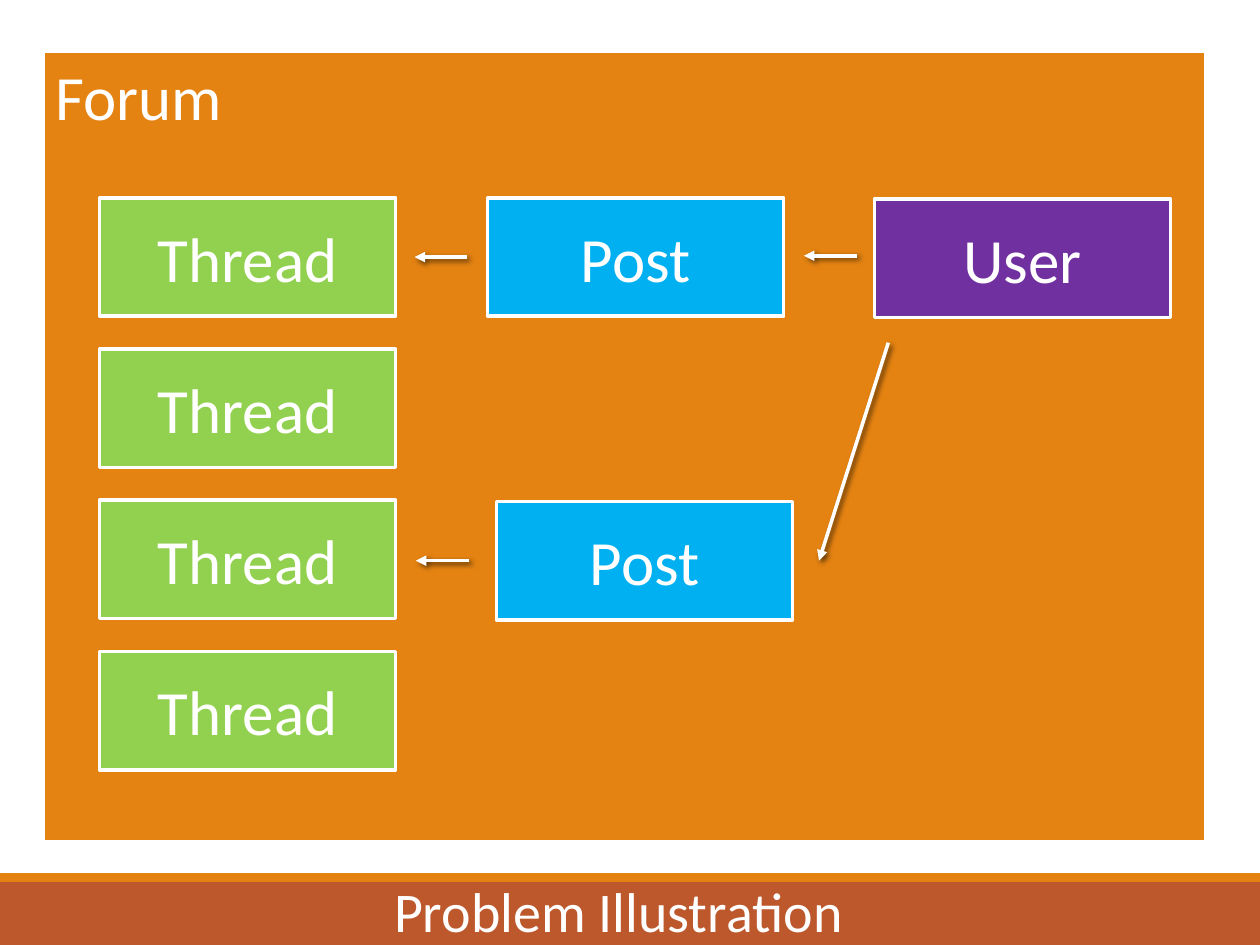
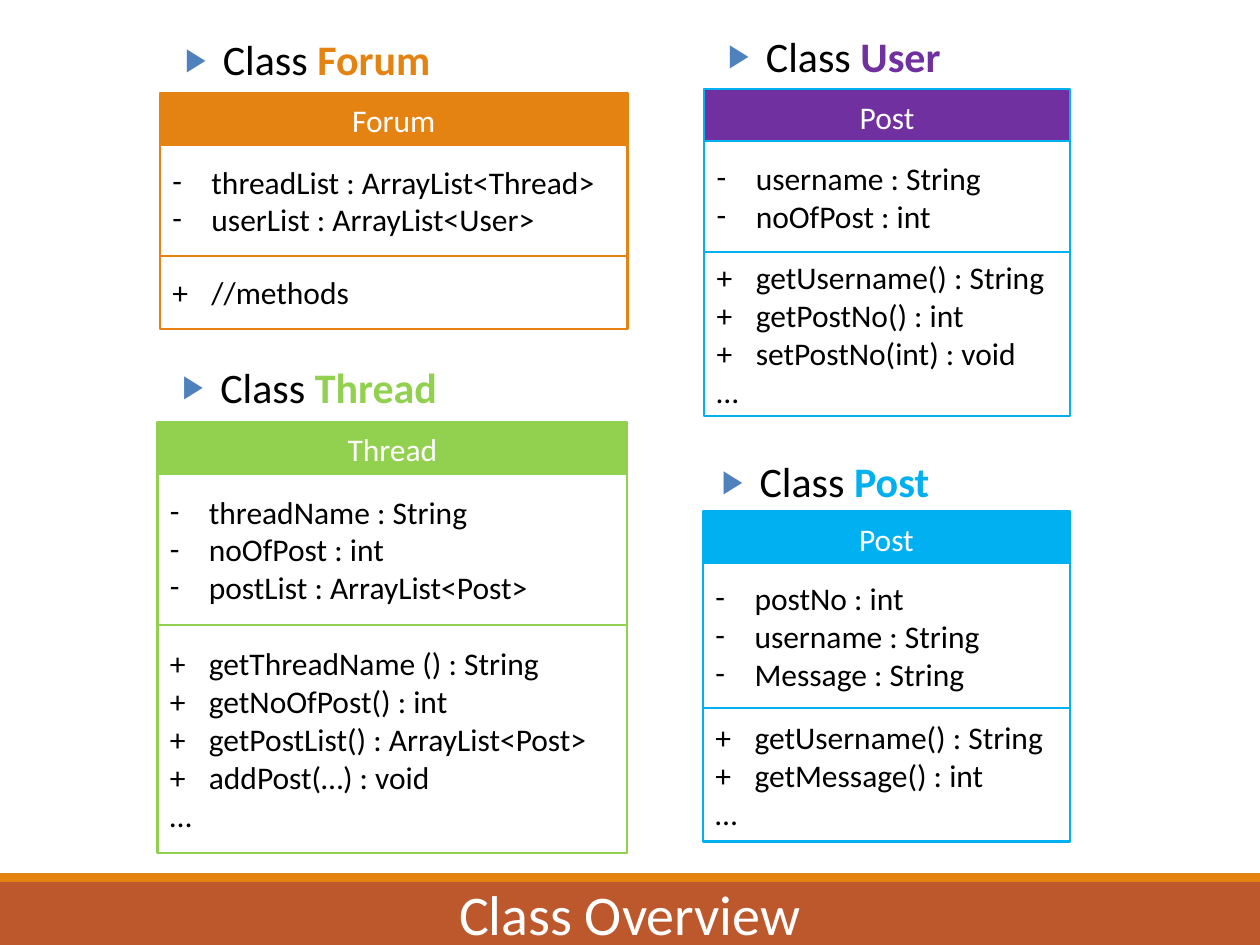
from lxml import etree
from pptx import Presentation
from pptx import util as u
from pptx.dml.color import RGBColor
from pptx.enum import shapes, text
from pptx.oxml import ns

WHITE = RGBColor(0xFF, 0xFF, 0xFF)
BLACK = RGBColor(0x00, 0x00, 0x00)
ORANGE = RGBColor(0xE4, 0x83, 0x12)
RUST = RGBColor(0xBD, 0x58, 0x2C)
GREEN = RGBColor(0x92, 0xD0, 0x50)
CYAN = RGBColor(0x00, 0xB0, 0xF0)
PURPLE = RGBColor(0x70, 0x30, 0xA0)
BULLET_BLUE = RGBColor(0x4F, 0x81, 0xBD)

LEFT, CENTER, JUSTIFY = text.PP_ALIGN.LEFT, text.PP_ALIGN.CENTER, text.PP_ALIGN.JUSTIFY
TOP, MIDDLE, BOTTOM = text.MSO_ANCHOR.TOP, text.MSO_ANCHOR.MIDDLE, text.MSO_ANCHOR.BOTTOM


def add_child(parent, tag, **attributes):
    child = etree.SubElement(parent, ns.qn(f"a:{tag}"))
    for key, value in attributes.items():
        child.set(key, str(value))
    return child


class DeckBuilder:
    font_name = "Calibri"
    list_indent = u.Inches(0.31)
    heading_indent = u.Inches(0.3)
    header_height = 0.43
    header_step = 0.41

    def __init__(self):
        self.deck = Presentation()
        self.deck.slide_width, self.deck.slide_height = u.Inches(10), u.Inches(7.5)
        self.page = None

    def new_page(self, title, left, top, width):
        self.page = self.deck.slides.add_slide(self.deck.slide_layouts[6])
        self.rectangle(0, 7, 10, 0.5, RUST)
        self.rectangle(0, 6.93, 10, 0.07, ORANGE)
        para = self.text_box(left, top, width, 0.64, BOTTOM)
        self.add_words(para, title, 32, WHITE, CENTER)

    def rectangle(self, left, top, width, height, fill, line=None, line_width=1.25):
        box = self.page.shapes.add_shape(
            shapes.MSO_SHAPE.RECTANGLE, *map(u.Inches, (left, top, width, height)))
        box.shadow.inherit = False
        box.fill.solid()
        box.fill.fore_color.rgb = fill
        if line is None:
            box.line.fill.background()
        else:
            box.line.color.rgb = line
            box.line.width = u.Pt(line_width)
        return box

    def text_box(self, left, top, width, height, anchor=TOP):
        frame = self.page.shapes.add_textbox(
            *map(u.Inches, (left, top, width, height))).text_frame
        frame.word_wrap = True
        frame.vertical_anchor = anchor
        return frame.paragraphs[0]

    def style(self, para, size, color, align):
        para.alignment = align
        para.font.name = self.font_name
        para.font.size = u.Pt(size)
        para.font.color.rgb = color

    def add_words(self, para, words, size, color, align):
        para.add_run().text = words
        self.style(para, size, color, align)

    def bullet(self, para, mark, indent, color=None, percent=None):
        properties = para._p.get_or_add_pPr()
        properties.set("marL", str(indent))
        properties.set("indent", str(-indent))
        if color is not None:
            add_child(add_child(properties, "buClr"), "srgbClr", val=color)
        if percent:
            add_child(properties, "buSzPct", val=percent * 1000)
        add_child(properties, "buFont", typeface=self.font_name)
        add_child(properties, "buChar", char=mark)

    def tab_stop(self, para):
        tabs = add_child(para._p.get_or_add_pPr(), "tabLst")
        add_child(tabs, "tab", pos=self.list_indent, algn="l")

    def label_box(self, words, left, top, width, height, fill, line=WHITE,
                  line_width=2, size=36, align=CENTER, anchor=MIDDLE):
        frame = self.rectangle(left, top, width, height, fill, line, line_width).text_frame
        frame.vertical_anchor = anchor
        self.add_words(frame.paragraphs[0], words, size, WHITE, align)

    def entity(self, words, left, top, fill):
        self.label_box(words, left, top, 2.35, 0.94, fill)

    def arrow(self, start, end):
        connector = self.page.shapes.add_connector(
            shapes.MSO_CONNECTOR.STRAIGHT, *map(u.Inches, start + end))
        connector.line.color.rgb = WHITE
        connector.line.width = u.Pt(2)
        properties = connector._element.spPr
        add_child(properties.find(ns.qn("a:ln")), "tailEnd", type="triangle")
        shadow = add_child(add_child(properties, "effectLst"), "outerShdw",
                           blurRad=u.Pt(3), dist=u.Pt(2), dir=45 * 60000, rotWithShape=0)
        add_child(add_child(shadow, "srgbClr", val=BLACK), "alpha", val=60000)

    def class_heading(self, name, color, left, top, width, height):
        para = self.text_box(left, top, width, height)
        self.bullet(para, "▶", self.heading_indent, BULLET_BLUE, 76)
        para.add_run().text = "Class "
        span = para.add_run()
        span.text = name
        span.font.bold = True
        span.font.color.rgb = color
        self.style(para, 24, BLACK, LEFT)

    def member_box(self, members, left, top, width, height, line, is_method):
        frame = self.rectangle(left, top, width, height, WHITE, line).text_frame
        frame.word_wrap = True
        frame.vertical_anchor = MIDDLE
        for index, member in enumerate(members):
            para = frame.add_paragraph() if index else frame.paragraphs[0]
            if is_method:
                self.tab_stop(para)
                member = member if member == "…" else f"+\t{member}"
            else:
                self.bullet(para, "-", self.list_indent)
            self.add_words(para, member, 18, BLACK, JUSTIFY)

    def class_card(self, title, left, top, width, fill, line, fields, fields_height,
                   methods, methods_height):
        self.label_box(title, left, top, width, self.header_height, fill, line, 1.25, 18)
        top += self.header_step
        self.member_box(fields, left, top, width, fields_height, line, False)
        self.member_box(methods, left, top + fields_height, width, methods_height, line, True)


def draw_illustration(builder):
    builder.new_page("Problem Illustration", 2.79, 6.9, 4.24)
    builder.label_box("Forum", 0.34, 0.41, 9.23, 6.27, ORANGE, align=LEFT, anchor=TOP)
    for row in range(4):
        builder.entity("Thread", 0.79, 1.57 + row * 1.2, GREEN)
    builder.entity("Post", 3.87, 1.57, CYAN)
    builder.entity("Post", 3.94, 3.98, CYAN)
    builder.entity("User", 6.94, 1.58, PURPLE)
    for start, end in (
        ((3.71, 2.04), (3.29, 2.04)),
        ((3.72, 4.45), (3.3, 4.45)),
        ((6.8, 2.03), (6.38, 2.03)),
        ((7.05, 2.72), (6.5, 4.45)),
    ):
        builder.arrow(start, end)


def draw_class_overview(builder):
    builder.new_page("Class Overview", 0, 6.92, 10)
    builder.class_heading("Forum", ORANGE, 1.37, 0.22, 3.61, 0.68)
    builder.class_card(
        "Forum", 1.27, 0.74, 3.71, ORANGE, ORANGE,
        ["threadList : ArrayList<Thread>", "userList : ArrayList<User>"], 0.88,
        ["//methods"], 0.58)
    builder.class_heading("Thread", GREEN, 1.35, 2.82, 3.63, 0.58)
    builder.class_card(
        "Thread", 1.25, 3.35, 3.73, GREEN, GREEN,
        ["threadName : String", "noOfPost : int", "postList : ArrayList<Post>"], 1.2,
        ["getThreadName () : String", "getNoOfPost() : int",
         "getPostList() : ArrayList<Post>", "addPost(…) : void", "…"], 1.81)
    builder.class_heading("Post", CYAN, 5.63, 3.57, 2.82, 0.53)
    builder.class_card(
        "Post", 5.58, 4.06, 2.91, CYAN, CYAN,
        ["postNo : int", "username : String", "Message : String"], 1.15,
        ["getUsername() : String", "getMessage() : int", "…"], 1.06)
    builder.class_heading("User", PURPLE, 5.68, 0.19, 2.81, 0.53)
    builder.class_card(
        "Post", 5.59, 0.71, 2.9, PURPLE, CYAN,
        ["username : String", "noOfPost : int"], 0.88,
        ["getUsername() : String", "getPostNo() : int", "setPostNo(int) : void", "…"], 1.3)


def main():
    builder = DeckBuilder()
    draw_illustration(builder)
    draw_class_overview(builder)
    builder.deck.save("out.pptx")


if __name__ == "__main__":
    main()
